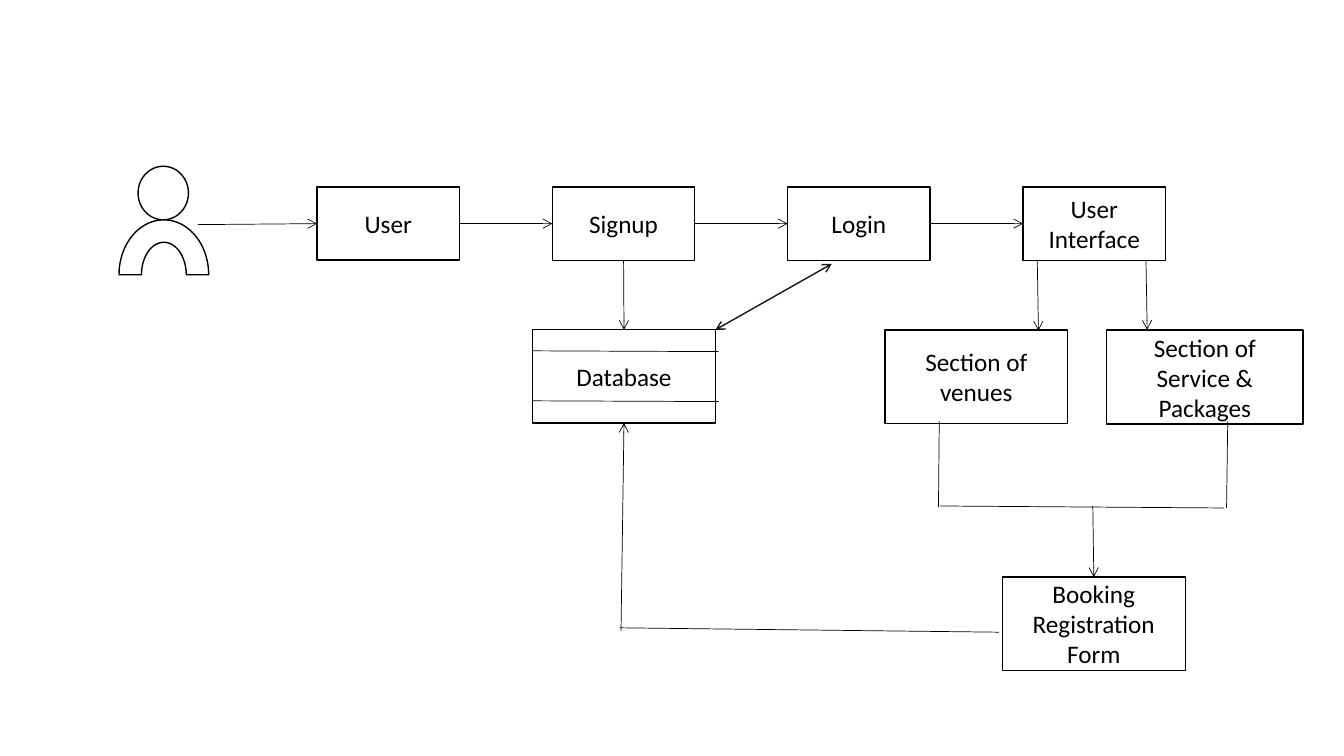
from dataclasses import dataclass

from pptx import Presentation
from pptx.dml.color import RGBColor
from pptx.enum.shapes import MSO_CONNECTOR, MSO_SHAPE
from pptx.enum.text import MSO_ANCHOR, PP_ALIGN
from pptx.oxml.ns import qn
from pptx.util import Cm, Pt
from lxml.etree import SubElement


@dataclass(frozen=True)
class Theme:
    ink: RGBColor = RGBColor(0x00, 0x00, 0x00)
    soft_ink: RGBColor = RGBColor(0x18, 0x17, 0x17)
    paper: RGBColor = RGBColor(0xFF, 0xFF, 0xFF)
    font: str = "Calibri"
    size: Pt = Pt(18)
    outline: Pt = Pt(1)
    bold_outline: Pt = Pt(1.25)
    thin: Pt = Pt(0.5)


theme = Theme()
TOP, LEFT, BOTTOM, RIGHT = range(4)  # connection sites of a rectangle


def add_text(sp, text, size=theme.size, color=theme.ink, align=PP_ALIGN.CENTER):
    tf = sp.text_frame
    tf.word_wrap = True
    tf.vertical_anchor = MSO_ANCHOR.MIDDLE
    p = tf.paragraphs[0]
    p.alignment = align
    r = p.add_run()
    r.text = text
    r.font.name, r.font.size = theme.font, size
    r.font.color.rgb = color


def add_line(start, end, ends=(), color=theme.ink, width=theme.thin):
    """Each end is an (x, y) point in cm or a (box name, site) pair."""
    points = [(0, 0) if isinstance(e[0], str) else e for e in (start, end)]
    cx = s.shapes.add_connector(MSO_CONNECTOR.STRAIGHT,
                                *[Cm(v) for point in points for v in point])
    if isinstance(start[0], str):
        cx.begin_connect(boxes[start[0]], start[1])
    if isinstance(end[0], str):
        cx.end_connect(boxes[end[0]], end[1])
    cx.line.color.rgb = color
    cx.line.width = width
    ln = cx.line._get_or_add_ln()
    for tag in ends:
        SubElement(ln, qn(f"a:{tag}"), type="arrow")
    SubElement(cx._element.spPr, qn("a:effectLst"))


prs = Presentation()
prs.slide_width, prs.slide_height = Cm(33.87), Cm(19.05)
s = prs.slides.add_slide(prs.slide_layouts[6])

# Person and boxes: text, preset, left, top, width, height
shapes = [
    ("", MSO_SHAPE.FLOWCHART_CONNECTOR, 3.48, 4.19, 1.27, 1.35),
    ("", MSO_SHAPE.BLOCK_ARC, 3, 5.54, 2.26, 2.77),
]
shapes += [(text, MSO_SHAPE.RECTANGLE, 7.99 + 5.93 * i, 4.71, 3.59, 1.85)
           for i, text in enumerate(["User", "Signup", "Login", "User Interface"])]
shapes += [(text, MSO_SHAPE.RECTANGLE, *place) for text, *place in [
    ("Database", 13.42, 8.31, 4.61, 2.35),
    ("Section of venues", 22.3, 8.32, 4.61, 2.35),
    ("Section of Service & Packages", 27.89, 8.32, 4.95, 2.37),
    ("Booking Registration Form", 25.26, 14.54, 4.61, 2.35),
]]

boxes = {}
for text, preset, *place in shapes:
    sp = s.shapes.add_shape(preset, *[Cm(v) for v in place])
    sp.shadow.inherit = False
    sp.fill.solid()
    sp.fill.fore_color.rgb = theme.paper
    sp.line.color.rgb = theme.ink
    sp.line.width = theme.bold_outline if text == "User" else theme.outline
    if text:
        add_text(sp, text)
        boxes[text] = sp

# Arrows
for start, end in [
    ((4.98, 5.66), ("User", LEFT)),
    (("User", RIGHT), ("Signup", LEFT)),
    (("Signup", RIGHT), ("Login", LEFT)),
    (("Login", RIGHT), ("User Interface", LEFT)),
    (("Signup", BOTTOM), ("Database", TOP)),
    ((26.14, 6.55), (26.17, 8.33)),
    ((28.88, 6.55), (28.91, 8.31)),
    ((27.54, 12.75), ("Booking Registration Form", TOP)),
    ((15.65, 15.9), ("Database", BOTTOM)),
]:
    add_line(start, end, ends=["tailEnd"])

# Two-way link between database and login
add_line((18.03, 8.31), (20.96, 6.65), ends=["headEnd", "tailEnd"],
         color=theme.soft_ink, width=theme.outline)

# Plain lines: bracket under the sections, return path, database rules
for start, end in [
    ((23.67, 10.62), (23.65, 12.78)),
    ((23.7, 12.75), (30.84, 12.8)),
    ((30.94, 10.62), (30.91, 12.8)),
    ((15.62, 15.82), (25.17, 15.93)),
    ((13.41, 8.84), (18.11, 8.86)),
    ((13.41, 10.1), (18.11, 10.12)),
]:
    add_line(start, end)

prs.save("out.pptx")
